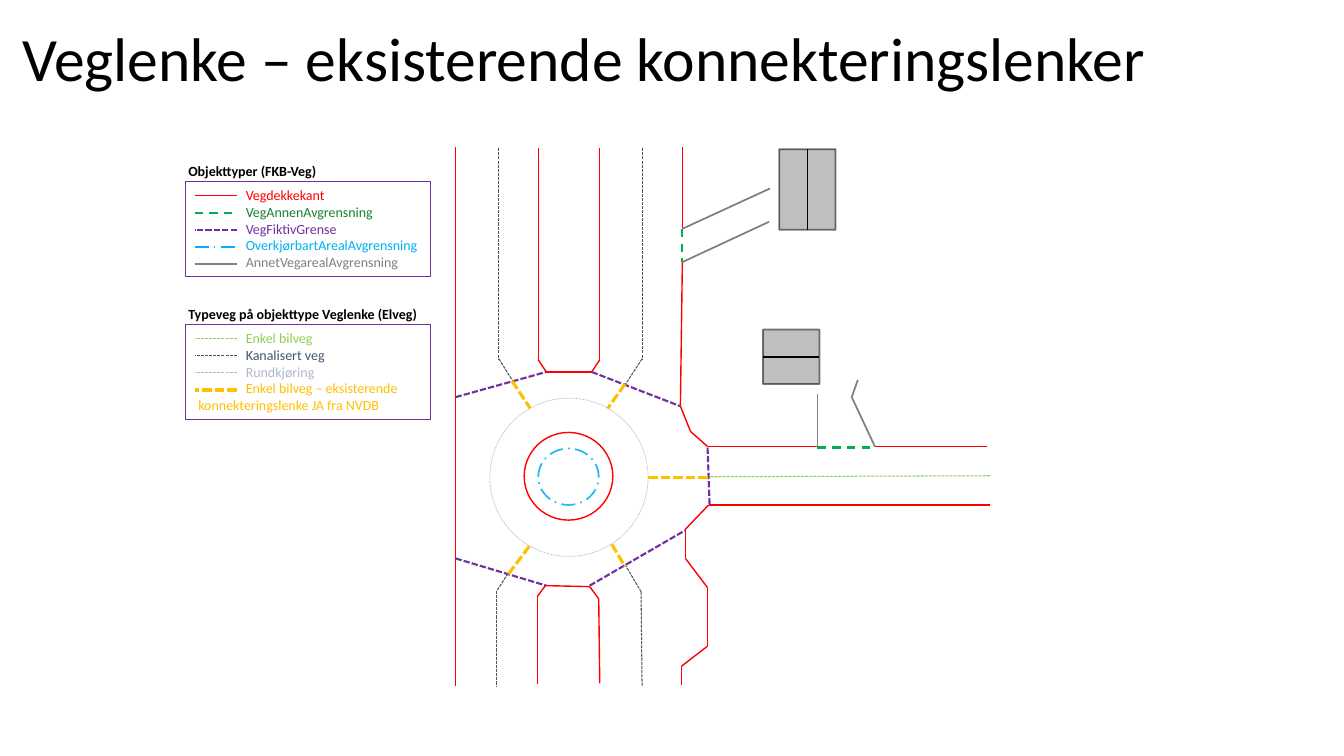
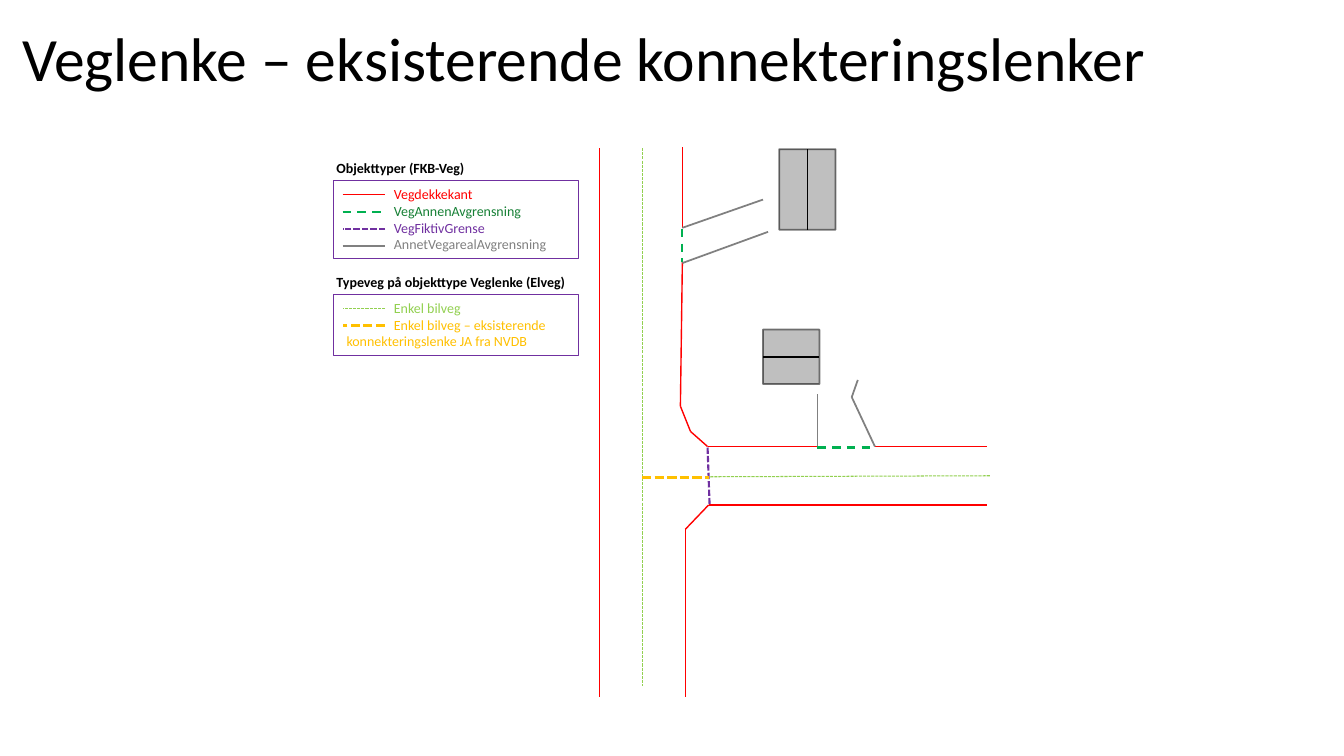
"""Build two slides that show road links at a roundabout and at a side road."""
from itertools import pairwise

from pptx import Presentation
from pptx.dml.color import RGBColor
from pptx.enum.dml import MSO_LINE
from pptx.enum.shapes import MSO_CONNECTOR, MSO_SHAPE
from pptx.enum.text import MSO_ANCHOR, MSO_AUTO_SIZE, PP_ALIGN
from pptx.oxml.ns import qn
from pptx.oxml.xmlchemy import OxmlElement
from pptx.util import Pt

PX = 9144
FONT = "Calibri"
TITLE = "Veglenke – eksisterende konnekteringslenker"

BLACK = RGBColor(0x00, 0x00, 0x00)
WHITE = RGBColor(0xFF, 0xFF, 0xFF)
RED = RGBColor(0xFF, 0x00, 0x00)
GREEN = RGBColor(0x00, 0xB0, 0x50)
DARK = RGBColor(0x16, 0x80, 0x35)
PURPLE = RGBColor(0x70, 0x30, 0xA0)
BLUE = RGBColor(0x00, 0xB0, 0xF0)
GREY = RGBColor(0x80, 0x80, 0x80)
SILVER = RGBColor(0xBF, 0xBF, 0xBF)
LIME = RGBColor(0x92, 0xD0, 0x50)
SLATE = RGBColor(0x44, 0x54, 0x6A)
PALE = RGBColor(0xAD, 0xB9, 0xCA)
GOLD = RGBColor(0xFF, 0xC0, 0x00)

SOLID = MSO_LINE.SOLID
DASH = MSO_LINE.DASH
SHORT = MSO_LINE.SQUARE_DOT
DOT = MSO_LINE.ROUND_DOT
MIXED = MSO_LINE.LONG_DASH_DOT
RECT, OVAL = MSO_SHAPE.RECTANGLE, MSO_SHAPE.OVAL
STRAIGHT = MSO_CONNECTOR.STRAIGHT
TOP, MIDDLE = MSO_ANCHOR.TOP, MSO_ANCHOR.MIDDLE
LEFT = PP_ALIGN.LEFT
GROW, FIXED = MSO_AUTO_SIZE.SHAPE_TO_FIT_TEXT, MSO_AUTO_SIZE.NONE

STYLES = {
    "edge": (RED, 1, SOLID),
    "other": (GREEN, 1.5, DASH),
    "border": (PURPLE, 1.5, SHORT),
    "island": (BLUE, 1.25, MIXED),
    "drive": (GREY, 1.25, SOLID),
    "road": (LIME, 0.75, SHORT),
    "canal": (SLATE, 0.75, SHORT),
    "round": (PALE, 0.75, SHORT),
    "ring": (PALE, 0.5, DOT),
    "link": (GOLD, 2.25, SHORT),
    "frame": (PURPLE, 0.75, SOLID),
    "wall": (BLACK, 1.25, SOLID),
}
NAMES = {
    "edge": "Vegdekkekant",
    "other": "VegAnnenAvgrensning",
    "border": "VegFiktivGrense",
    "island": "OverkjørbartArealAvgrensning",
    "drive": "AnnetVegarealAvgrensning",
    "road": "Enkel bilveg",
    "canal": "Kanalisert veg",
    "round": "Rundkjøring",
    "link": "Enkel bilveg – eksisterende konnekteringslenke JA fra NVDB",
}
TYPES = "Objekttyper (FKB-Veg)"
ROADS = "Typeveg på objekttype Veglenke (Elveg)"

HOUSES = [((773, 148, 56, 80), (0, 2)), ((757, 327, 56, 54), (1, 3))]
SHARED = [
    ("edge", [(677, 146), (677, 226)]),
    ("edge", [(677, 259), (675, 403), (685, 428), (702, 443), (811, 443)]),
    ("edge", [(979, 443), (868, 443)]),
    ("drive", [(811, 391), (811, 443)]),
    ("drive", [(868, 443), (845, 394), (851, 377)]),
    ("other", [(811, 444), (868, 444)]),
    ("other", [(677, 227), (677, 260)]),
    ("border", [(702, 444), (704, 501)]),
    ("road", [(982, 472), (703, 473)]),
]
SLIDES = [
    {
        "legends": [
            (TYPES, 184, 180, 24, 5, ["edge", "other", "border", "island", "drive"]),
            (ROADS, 184, 322, 24, 5, ["road", "canal", "round", "link"]),
        ],
        "ovals": [
            ("island", (534, 445, 60, 56), WHITE, 85),
            ("edge", (520, 429, 88, 87), None, 100),
            ("ring", (486, 395, 157, 157), None, 100),
        ],
        "paths": [
            ("edge", [(452, 146), (452, 681)]),
            ("edge", [(982, 501), (703, 501), (680, 525), (680, 554),
                      (702, 583), (702, 641), (676, 661), (676, 680)]),
            ("edge", [(534, 147), (534, 357), (542, 369), (587, 369),
                      (595, 357), (595, 147)]),
            ("edge", [(533, 679), (533, 592), (541, 581), (585, 582),
                      (594, 594), (595, 678)]),
            ("drive", [(677, 227), (764, 187)]),
            ("drive", [(677, 260), (763, 220)]),
            ("border", [(587, 369), (675, 403)]),
            ("border", [(452, 394), (542, 369)]),
            ("border", [(452, 554), (542, 581)]),
            ("border", [(585, 581), (680, 526)]),
            ("canal", [(495, 147), (495, 356), (508, 377)]),
            ("canal", [(637, 147), (637, 356), (620, 382)]),
            ("canal", [(504, 569), (493, 586), (493, 681)]),
            ("canal", [(620, 560), (636, 587), (637, 681)]),
            ("link", [(607, 540), (620, 562)]),
            ("link", [(508, 378), (526, 405)]),
            ("link", [(620, 381), (603, 405)]),
            ("link", [(525, 542), (504, 570)]),
            ("link", [(643, 474), (703, 474)]),
        ],
    },
    {
        "legends": [
            (TYPES, 331, 179, 26, 4, ["edge", "other", "border", "drive"]),
            (ROADS, 331, 292, 26, 3, ["road", "link"]),
        ],
        "ovals": [],
        "paths": [
            ("edge", [(979, 501), (703, 501), (680, 525), (680, 691)]),
            ("edge", [(595, 147), (595, 691)]),
            ("drive", [(677, 226), (757, 198)]),
            ("drive", [(677, 261), (762, 230)]),
            ("road", [(637, 147), (637, 474), (637, 681)]),
            ("link", [(637, 474), (703, 474)]),
        ],
    },
]


def emu(*px):
    return [round(v * PX) for v in px]


def pen(line, kind):
    color, width, dash = STYLES[kind]
    line.color.rgb = color
    line.width = Pt(width)
    line.dash_style = dash


def stroke(slide, kind, start, end):
    wire = slide.shapes.add_connector(STRAIGHT, *emu(*start, *end))
    pen(wire.line, kind)
    wire.element.spPr.append(OxmlElement("a:effectLst"))
    return wire


def area(slide, form, box, kind, fill=None, alpha=100):
    shape = slide.shapes.add_shape(form, *emu(*box))
    shape.shadow.inherit = False
    if fill is None:
        shape.fill.background()
    else:
        shape.fill.solid()
        shape.fill.fore_color.rgb = fill
    pen(shape.line, kind)
    if alpha < 100:
        tone = shape.element.spPr.find(qn("a:ln")).find(".//" + qn("a:srgbClr"))
        node = OxmlElement("a:alpha")
        node.set("val", str(alpha * 1000))
        tone.append(node)
    return shape


def style(para, size, color, bold=False):
    para.alignment = LEFT
    for run in para.runs:
        run.font.name = FONT
        run.font.size = Pt(size)
        run.font.bold = bold
        run.font.color.rgb = color


def legend(slide, head, x, y, rise, lines, kinds):
    label = slide.shapes.add_textbox(*emu(x - 7, y - rise, 250, 27))
    frame = label.text_frame
    frame.word_wrap = True
    frame.auto_size = GROW
    frame.text = head
    style(frame.paragraphs[0], 10, BLACK, True)

    box = area(slide, RECT, (x, y, 243, 10 + 16.8 * lines), "frame")
    frame = box.text_frame
    frame.word_wrap = True
    frame.auto_size = GROW
    frame.vertical_anchor = TOP
    frame.text = "\n".join(NAMES[kind] for kind in kinds)
    for row, (kind, para) in enumerate(zip(kinds, frame.paragraphs)):
        props = para._p.get_or_add_pPr()
        margin, indent = emu(3, 47)
        props.set("marL", str(margin))
        props.set("indent", str(indent))
        color, _, dash = STYLES[kind]
        style(para, 10, DARK if kind == "other" else color)
        level = y + 14 + 17 * row
        ends = [(x + 9, level), (x + 51, level)]
        if dash == SHORT:
            ends.reverse()
        stroke(slide, kind, *ends)


def title(slide):
    shape = slide.shapes.title
    shape.left, shape.top, shape.width, shape.height = emu(12, 14, 1150, 94)
    frame = shape.text_frame
    frame.text = TITLE
    frame.word_wrap = True
    frame.auto_size = FIXED
    frame.vertical_anchor = MIDDLE
    frame.paragraphs[0].line_spacing = 0.9
    style(frame.paragraphs[0], 44, BLACK)


def build(deck, data):
    slide = deck.slides.add_slide(deck.slide_layouts[5])
    title(slide)
    for item in data["legends"]:
        legend(slide, *item)
    for kind, box, fill, alpha in data["ovals"]:
        area(slide, OVAL, box, kind, fill, alpha)
    for kind, points in SHARED + data["paths"]:
        for start, end in pairwise(points):
            stroke(slide, kind, start, end)
    for box, (first, last) in HOUSES:
        house = area(slide, RECT, box, "wall", SILVER, 52)
        ridge = stroke(slide, "wall", box[:2], box[:2])
        ridge.begin_connect(house, first)
        ridge.end_connect(house, last)


def main():
    deck = Presentation()
    deck.slide_width, deck.slide_height = emu(1333.33, 750)
    for data in SLIDES:
        build(deck, data)
    deck.save("out.pptx")


if __name__ == "__main__":
    main()
